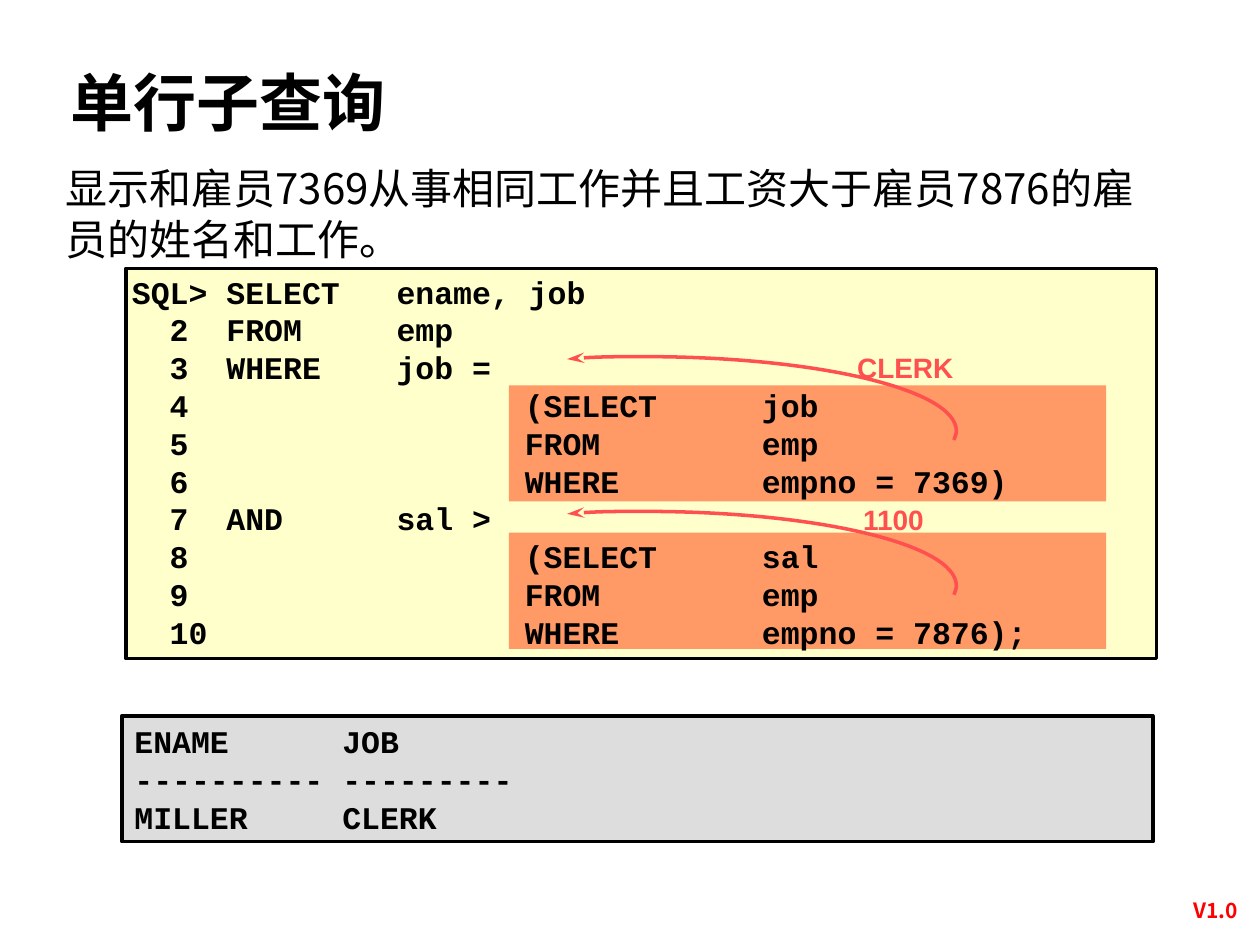
from lxml import etree
from pptx import Presentation
from pptx.dml.color import RGBColor
from pptx.enum import shapes, text
from pptx.oxml import ns
from pptx.util import Cm, Pt

COLORS = {
    "black": "000000",
    "version": "FF0000",
    "code": "FFFFCC",
    "subquery": "FF9966",
    "accent": "FF5050",
    "result": "DDDDDD",
}
CJK = "Noto Sans CJK SC"
MONO = "Courier New"
CODE_LINES = [
    "SQL> SELECT   ename, job",
    "  2  FROM     emp",
    "  3  WHERE    job =",
    "  4\t\t(SELECT\tjob",
    "  5\t\tFROM\temp",
    "  6\t\tWHERE\tempno = 7369)",
    "  7  AND      sal >",
    "  8\t\t(SELECT\tsal",
    "  9\t\tFROM\temp",
    "  10\t\tWHERE\tempno = 7876);",
]
RESULT_LINES = [
    "ENAME      JOB",
    "---------- ---------",
    "MILLER     CLERK",
]
ARROW_CURVE = [
    (0, 0.05), (0.51, 0), (1.04, 0), (1.57, 0), (5.03, 0),
    (7.85, 0.66), (7.85, 1.5), (7.85, 1.55), (7.82, 1.63), (7.8, 1.68),
]


def color(name):
    return RGBColor.from_string(COLORS[name])


def add_child(parent, tag, **attributes):
    return etree.SubElement(parent, ns.qn(tag), attributes)


def place(shape, left, top, width, height):
    shape.left, shape.top = Cm(left), Cm(top)
    shape.width, shape.height = Cm(width), Cm(height)


def write(shape, lines, size, font, ink="black", bold=True, align=text.PP_ALIGN.LEFT,
          anchor=text.MSO_ANCHOR.TOP, wrap=True, spacing=None, tabs=()):
    frame = shape.text_frame
    frame.text = "\n".join(lines)
    frame.word_wrap = wrap
    frame.auto_size = text.MSO_AUTO_SIZE.NONE
    frame.vertical_anchor = anchor
    for paragraph in frame.paragraphs:
        paragraph.alignment = align
        paragraph.line_spacing = spacing
        paragraph.space_before = Pt(0)
        if tabs:
            tab_list = add_child(paragraph._p.get_or_add_pPr(), "a:tabLst")
            for position in tabs:
                add_child(tab_list, "a:tab", pos=str(int(Cm(position))), algn="l")
        for run in paragraph.runs:
            run.font.size = Pt(size)
            run.font.name = font
            run.font.bold = bold
            run.font.color.rgb = color(ink)
            add_child(run._r.get_or_add_rPr(), "a:ea", typeface=font)


def remove_bullets(shape):
    for paragraph in shape.text_frame.paragraphs:
        properties = paragraph._p.get_or_add_pPr()
        properties.set("marL", "0")
        properties.set("indent", "0")
        add_child(properties, "a:buNone")


def add_text(slide, box, lines, size, font, **style):
    shape = slide.shapes.add_textbox(*map(Cm, box))
    write(shape, lines, size, font, **style)


def add_panel(slide, box, fill, outlined=True):
    shape = slide.shapes.add_shape(shapes.MSO_SHAPE.RECTANGLE, *map(Cm, box))
    shape.shadow.inherit = False
    shape.fill.solid()
    shape.fill.fore_color.rgb = color(fill)
    if outlined:
        shape.line.color.rgb = color("black")
        shape.line.width = Pt(2)
    else:
        shape.line.fill.background()
    return shape


def add_curved_arrow(slide, left, top):
    points = [(Cm(left + x), Cm(top + y)) for x, y in ARROW_CURVE]
    builder = slide.shapes.build_freeform(*points[0])
    builder.add_line_segments(points[1:], close=False)
    shape = builder.convert_to_shape()
    outline = shape._element.spPr.find(".//" + ns.qn("a:path"))
    segments = outline.findall(ns.qn("a:lnTo"))
    for start in range(0, len(segments), 3):
        curve = add_child(outline, "a:cubicBezTo")
        for segment in segments[start:start + 3]:
            curve.append(segment[0])
            outline.remove(segment)
    shape.shadow.inherit = False
    shape.fill.background()
    shape.line.color.rgb = color("accent")
    shape.line.width = Pt(2)
    add_child(shape.line._get_or_add_ln(), "a:headEnd", type="stealth", len="lg")


def add_subquery(slide, panel_top, arrow_top, label, label_box):
    add_panel(slide, (10.26, panel_top, 12.04, 2.34), "subquery", outlined=False)
    add_curved_arrow(slide, 11.43, arrow_top)
    add_text(slide, label_box, [label], 16, "Arial", ink="accent",
             align=text.PP_ALIGN.CENTER, wrap=False, spacing=1.2)


def main():
    presentation = Presentation()
    presentation.slide_width, presentation.slide_height = Cm(25.4), Cm(19.05)
    slide = presentation.slides.add_slide(presentation.slide_layouts[1])
    title, body = slide.placeholders
    place(title, 1.17, 1.1, 21.34, 1.9)
    write(title, ["单行子查询"], 36, CJK, anchor=text.MSO_ANCHOR.MIDDLE)
    place(body, 1.07, 3.15, 22.5, 2.34)
    write(body, ["显示和雇员7369从事相同工作并且工资大于雇员7876的雇员的姓名和工作。"],
          24, CJK, bold=False, spacing=Pt(29))
    remove_bullets(body)

    add_panel(slide, (2.54, 5.41, 20.78, 7.87), "code")
    add_subquery(slide, 7.77, 7.19, "CLERK", (17.02, 6.81, 2.46, 1.07))
    add_subquery(slide, 10.74, 10.31, "1100", (17.12, 9.88, 1.78, 1.07))
    listing = dict(anchor=text.MSO_ANCHOR.MIDDLE, wrap=False, spacing=Pt(21.6))
    add_text(slide, (2.41, 5.33, 20.09, 7.95), CODE_LINES, 18, MONO,
             tabs=(3.33, 7.92, 12.7), **listing)
    result = add_panel(slide, (2.46, 14.43, 20.78, 2.54), "result")
    write(result, RESULT_LINES, 18, MONO, tabs=(3.33,), **listing)
    add_text(slide, (23.5, 17.96, 2.01, 0.76), ["V1.0"], 12, CJK,
             ink="version", align=text.PP_ALIGN.CENTER)
    presentation.save("out.pptx")


if __name__ == "__main__":
    main()
